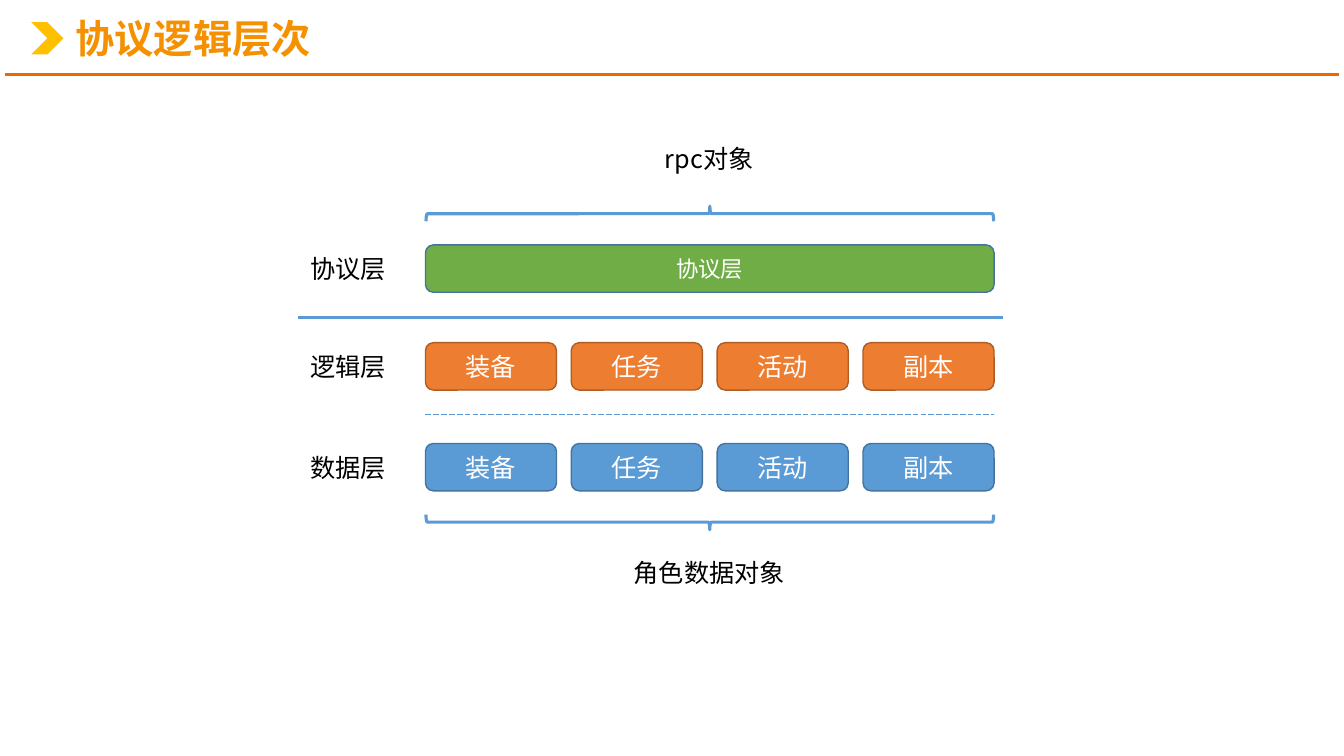
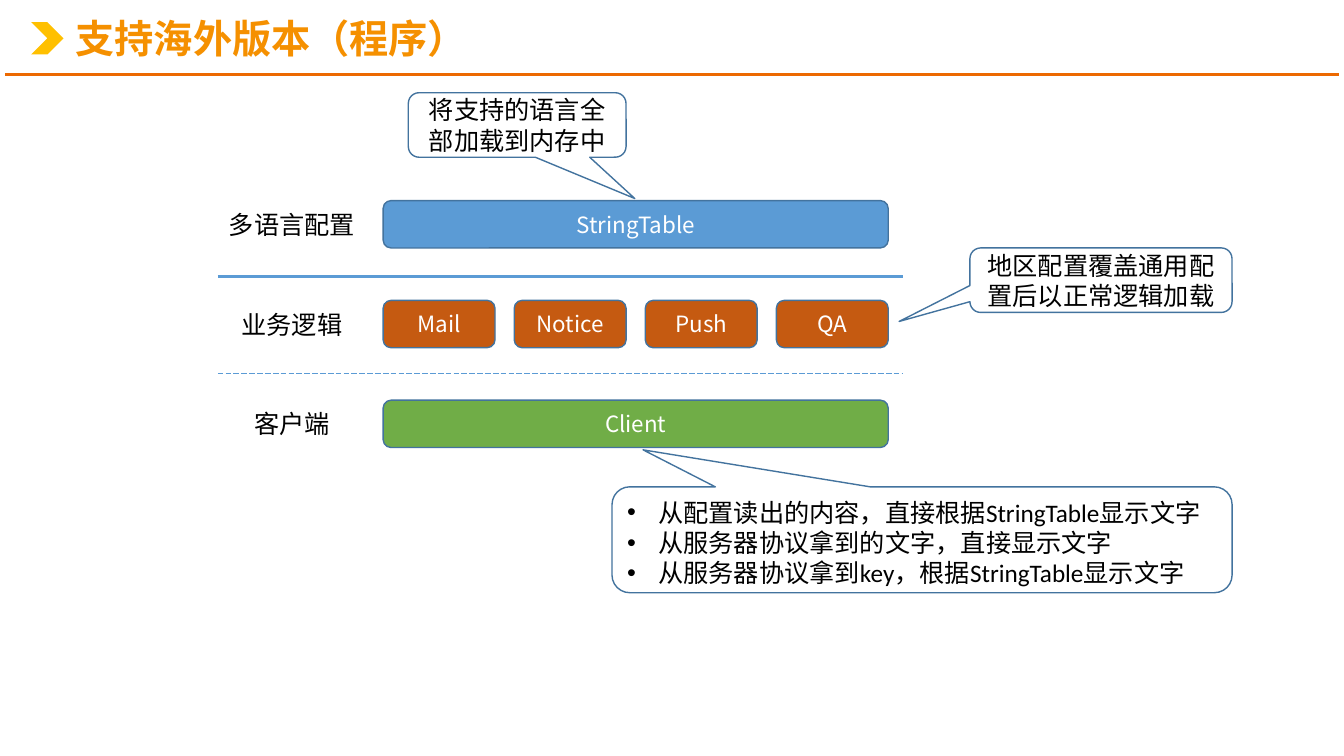
from dataclasses import dataclass

from lxml import etree
from pptx import Presentation
from pptx import util as u
from pptx.dml.color import RGBColor
from pptx.enum import dml, shapes, text
from pptx.oxml.ns import qn

CJK_FONT = "Noto Sans CJK SC"
LATIN_FONT = "Calibri"
WHITE, BLACK = "FFFFFF", "000000"
BLUE, GREEN, ORANGE, RUST = "5B9BD5", "70AD47", "ED7D31", "C55A11"
BLUE_EDGE, ORANGE_EDGE = "43739E", "AF5C24"
TITLE_COLOR, RULE_COLOR, CHEVRON_COLOR = "F59000", "EC6901", "FFC000"
BOX_HEIGHT = 0.47
LABEL_HEIGHT = 0.4


@dataclass
class Layer:
    """One row of the diagram: a label and evenly spaced boxes."""
    label: str
    top: float
    names: list[str]
    fill: str
    edge: str = BLUE_EDGE
    size: float = 16


@dataclass
class Stack:
    """Columns shared by all layers of one diagram."""
    left: float
    width: float
    box_width: float
    label_left: float
    label_width: float


@dataclass
class Callout:
    left: float
    top: float
    width: float
    height: float
    tip: tuple[float, float]
    lines: list[str]
    bulleted: bool = False


@dataclass
class Divider:
    left: float
    right: float
    y: float
    dashed: bool = False


def rgb(color: str) -> RGBColor:
    return RGBColor.from_string(color)


def write(frame, lines: list[str], size: float, color: str, font: str = CJK_FONT,
          align=text.PP_ALIGN.CENTER, bold: bool = False) -> None:
    frame.text = "\n".join(lines)
    frame.word_wrap = True
    for paragraph in frame.paragraphs:
        paragraph.alignment = align
        for run in paragraph.runs:
            run.font.name = font
            run.font.size = u.Pt(size)
            run.font.bold = bold
            run.font.color.rgb = rgb(color)
            east_asian = etree.Element(qn("a:ea"), typeface=CJK_FONT)
            run.font._element.find(qn("a:latin")).addnext(east_asian)


def add_bullet(paragraph) -> None:
    properties = paragraph._p.get_or_add_pPr()
    indent = u.Inches(0.31)
    properties.set("marL", str(indent))
    properties.set("indent", str(-indent))
    etree.SubElement(properties, qn("a:buFont"), typeface="Arial")
    etree.SubElement(properties, qn("a:buChar"), char="•")


def add_figure(slide, kind, left: float, top: float, width: float, height: float,
               fill: str | None = None, edge: str | None = None, weight: float = 1):
    figure = slide.shapes.add_shape(kind, u.Inches(left), u.Inches(top),
                                    u.Inches(width), u.Inches(height))
    figure.shadow.inherit = False
    if fill:
        figure.fill.solid()
        figure.fill.fore_color.rgb = rgb(fill)
    else:
        figure.fill.background()
    if edge:
        figure.line.color.rgb = rgb(edge)
        figure.line.width = u.Pt(weight)
    else:
        figure.line.fill.background()
    return figure


def add_rule(slide, left: float, right: float, y: float, color: str,
             weight: float, dashed: bool = False) -> None:
    rule = slide.shapes.add_connector(shapes.MSO_CONNECTOR.STRAIGHT, u.Inches(left),
                                      u.Inches(y), u.Inches(right), u.Inches(y))
    rule.line.color.rgb = rgb(color)
    rule.line.width = u.Pt(weight)
    if dashed:
        rule.line.dash_style = dml.MSO_LINE.LONG_DASH
    etree.SubElement(rule._element.spPr, qn("a:effectLst"))


def add_divider(slide, divider: Divider) -> None:
    add_rule(slide, divider.left, divider.right, divider.y, BLUE,
             0.5 if divider.dashed else 2.25, divider.dashed)


def add_label(slide, caption: str, left: float, top: float, width: float) -> None:
    label = slide.shapes.add_textbox(u.Inches(left), u.Inches(top),
                                     u.Inches(width), u.Inches(LABEL_HEIGHT))
    write(label.text_frame, [caption], 18, BLACK)


def add_layer(slide, layer: Layer, stack: Stack) -> None:
    add_label(slide, layer.label, stack.label_left,
              layer.top + (BOX_HEIGHT - LABEL_HEIGHT) / 2, stack.label_width)
    count = len(layer.names)
    box_width = stack.box_width if count > 1 else stack.width
    step = (stack.width - box_width) / max(count - 1, 1)
    for column, name in enumerate(layer.names):
        box = add_figure(slide, shapes.MSO_SHAPE.ROUNDED_RECTANGLE,
                         stack.left + column * step, layer.top, box_width, BOX_HEIGHT,
                         layer.fill, layer.edge)
        write(box.text_frame, [name], layer.size, WHITE)
        box.text_frame.vertical_anchor = text.MSO_ANCHOR.MIDDLE


def add_brace(slide, center_y: float, rotation: float) -> None:
    thickness, length, center_x = 0.15, 5.63, 7.04
    brace = add_figure(slide, shapes.MSO_SHAPE.LEFT_BRACE, center_x - thickness / 2,
                       center_y - length / 2, thickness, length, edge=BLUE, weight=2.25)
    brace.rotation = rotation


def add_callout(slide, callout: Callout) -> None:
    bubble = add_figure(slide, shapes.MSO_SHAPE.ROUNDED_RECTANGULAR_CALLOUT,
                        callout.left, callout.top, callout.width, callout.height,
                        WHITE, BLUE_EDGE)
    bubble.adjustments[0], bubble.adjustments[1] = callout.tip
    frame = bubble.text_frame
    align = text.PP_ALIGN.LEFT if callout.bulleted else text.PP_ALIGN.CENTER
    write(frame, callout.lines, 18, BLACK, LATIN_FONT, align)
    frame.vertical_anchor = text.MSO_ANCHOR.TOP if callout.bulleted else text.MSO_ANCHOR.MIDDLE
    if callout.bulleted:
        for paragraph in frame.paragraphs:
            add_bullet(paragraph)


def add_titled_slide(deck, heading: str):
    """Add a slide with the shared title, chevron and rule."""
    slide = deck.slides.add_slide(deck.slide_layouts[5])
    title = slide.shapes.title
    title.left, title.top = u.Inches(0.65), u.Inches(0.09)
    title.width, title.height = u.Inches(5.61), u.Inches(0.63)
    frame = title.text_frame
    write(frame, [heading], 28, TITLE_COLOR, align=text.PP_ALIGN.LEFT, bold=True)
    frame.auto_size = text.MSO_AUTO_SIZE.NONE
    frame.vertical_anchor = text.MSO_ANCHOR.MIDDLE
    frame.paragraphs[0].line_spacing = 0.9
    add_rule(slide, 0.05, 13.28, 0.74, RULE_COLOR, 2)
    add_figure(slide, shapes.MSO_SHAPE.CHEVRON, 0.31, 0.22, 0.32, 0.32, CHEVRON_COLOR)
    return slide


def build_protocol_layers(deck) -> None:
    slide = add_titled_slide(deck, "协议逻辑层次")
    stack = Stack(left=4.22, width=5.64, box_width=1.3, label_left=2.96, label_width=0.99)
    modules = ["装备", "任务", "活动", "副本"]
    for layer in (
        Layer("协议层", 2.43, ["协议层"], GREEN),
        Layer("逻辑层", 3.4, modules, ORANGE, ORANGE_EDGE, 18),
        Layer("数据层", 4.4, modules, BLUE, size=18),
    ):
        add_layer(slide, layer, stack)
    add_divider(slide, Divider(2.96, 9.95, 3.15))
    add_divider(slide, Divider(4.22, 9.86, 4.11, dashed=True))
    # Objects spanning the layers
    add_brace(slide, 2.12, 90)
    add_brace(slide, 5.18, 270)
    add_label(slide, "rpc对象", 6.12, 1.37, 1.83)
    add_label(slide, "角色数据对象", 6.12, 5.48, 1.83)


def build_overseas_support(deck) -> None:
    slide = add_titled_slide(deck, "支持海外版本（程序）")
    stack = Stack(left=3.8, width=5.01, box_width=1.11, label_left=2.16, label_width=1.47)
    for layer in (
        Layer("多语言配置", 1.99, ["StringTable"], BLUE),
        Layer("业务逻辑", 2.98, ["Mail", "Notice", "Push", "QA"], RUST),
        Layer("客户端", 3.97, ["Client"], GREEN),
    ):
        add_layer(slide, layer, stack)
    add_divider(slide, Divider(2.16, 8.96, 2.74))
    add_divider(slide, Divider(2.16, 8.96, 3.7, dashed=True))
    # Remarks on each layer
    for callout in (
        Callout(4.05, 0.92, 2.16, 0.64, (0.54, 1.14), ["将支持的语言全部加载到内存中"]),
        Callout(9.62, 2.46, 2.6, 0.64, (-0.77, 0.64),
                ["地区配置覆盖通用配置后以正常逻辑加载"]),
        Callout(6.07, 4.83, 6.15, 1.05, (-0.45, -0.85),
                ["从配置读出的内容，直接根据StringTable显示文字",
                 "从服务器协议拿到的文字，直接显示文字",
                 "从服务器协议拿到key，根据StringTable显示文字"], bulleted=True),
    ):
        add_callout(slide, callout)


def main() -> None:
    deck = Presentation()
    deck.slide_width, deck.slide_height = u.Inches(13.33), u.Inches(7.5)
    build_protocol_layers(deck)
    build_overseas_support(deck)
    deck.save("out.pptx")


if __name__ == "__main__":
    main()
